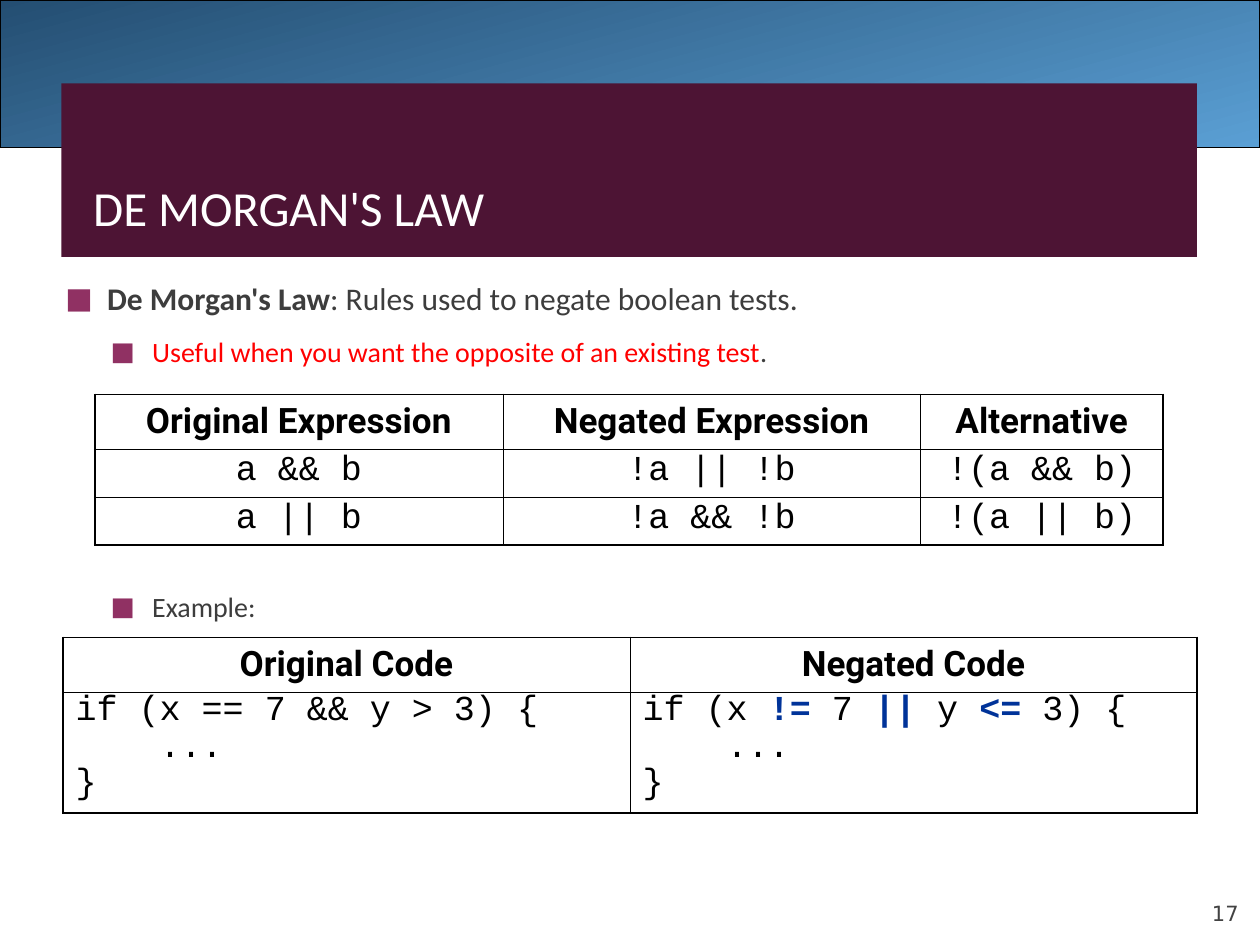
from lxml import etree
from pptx import Presentation
from pptx import util as u
from pptx.dml import color
from pptx.enum import shapes, text
from pptx.oxml import ns

COLORS = {
    "dark_blue": "244E72", "light_blue": "5A9FD4", "plum": "4D1434",
    "bullet": "903163", "body": "3D3D3D", "number": "424242",
    "alert": "FF0000", "change": "003399", "black": "000000", "white": "FFFFFF",
}
TITLE = "DE MORGAN'S LAW"
PAGE = "17"
BODY = [
    (5.51, [
        (0, [("De Morgan's Law", "body", True),
             (": Rules used to negate boolean tests.", "body", False)]),
        (1, [("Useful when you want the opposite of an existing test", "alert", False),
             (".", "body", False)]),
    ]),
    (11.77, [(1, [("Example:", "body", False)])]),
]
LEVELS = [
    {"size": 18, "left": 0.84, "before": 4.5},
    {"size": 16, "left": 1.75, "before": 4},
]
HANGING = 0.84
TABLES = [
    {"at": (1.91, 7.95), "cols": [8.23, 8.41, 4.9], "rows": [1.09, 0.97, 0.97],
     "header": ["Original Expression", "Negated Expression", "Alternative"],
     "align": text.PP_ALIGN.CENTER, "spacing": 0.8,
     "body": [
         [[["a && b"]], [["!a || !b"]], [["!(a && b)"]]],
         [[["a || b"]], [["!a && !b"]], [["!(a || b)"]]],
     ]},
    {"at": (1.27, 12.85), "cols": [11.43, 11.43], "rows": [1.09, 2.44],
     "header": ["Original Code", "Negated Code"],
     "align": text.PP_ALIGN.LEFT, "spacing": 0.7,
     "body": [[
         [["if (x == 7 && y > 3) {"], ["    ..."], ["}"]],
         [["if (x ", "!=", " 7 ", "||", " y ", "<=", " 3) {"], ["    ..."], ["}"]],
     ]]},
]
CHANGED = {"!=", "||", "<="}
OUTER, INNER = 1.08, 0.45


def rgb(name):
    return color.RGBColor.from_string(COLORS[name])


def add_run(p, words, font, size, shade, bold=False):
    r = p.add_run()
    r.text = words
    r.font.name, r.font.size, r.font.bold = font, u.Pt(size), bold
    r.font.color.rgb = rgb(shade)


def add_box(s, at, anchor, inset=None):
    tf = s.shapes.add_textbox(*map(u.Cm, at)).text_frame
    tf.word_wrap = True
    tf.vertical_anchor = anchor
    if inset is not None:
        tf.margin_left = tf.margin_right = tf.margin_top = tf.margin_bottom = inset
    return tf


def add_block(s, kind, at):
    sp = s.shapes.add_shape(kind, *map(u.Cm, at))
    sp.shadow.inherit = False
    return sp


def paragraph(tf, i):
    return tf.add_paragraph() if i else tf.paragraphs[0]


def add_bullet(p, left):
    pPr = p._p.get_or_add_pPr()
    pPr.set("marL", str(u.Cm(left)))
    pPr.set("indent", str(-u.Cm(HANGING)))
    clr = etree.SubElement(pPr, ns.qn("a:buClr"))
    etree.SubElement(clr, ns.qn("a:srgbClr"), val=COLORS["bullet"])
    etree.SubElement(pPr, ns.qn("a:buSzPct"), val="92000")
    etree.SubElement(pPr, ns.qn("a:buFont"), typeface="Calibri")
    etree.SubElement(pPr, ns.qn("a:buChar"), char="■")


def set_borders(cell, widths):
    tcPr = cell._tc.get_or_add_tcPr()
    for i, (side, width) in enumerate(widths.items()):
        ln = etree.Element(ns.qn("a:ln" + side), w=str(u.Pt(width)))
        fill = etree.SubElement(ln, ns.qn("a:solidFill"))
        etree.SubElement(fill, ns.qn("a:srgbClr"), val=COLORS["black"])
        tcPr.insert(i, ln)


def add_table(s, t):
    n_rows, n_cols = len(t["rows"]), len(t["cols"])
    size = sum(t["cols"]), sum(t["rows"])
    table = s.shapes.add_table(n_rows, n_cols, *map(u.Cm, t["at"] + size)).table
    table.first_row = table.horz_banding = False
    for col, width in zip(table.columns, t["cols"]):
        col.width = u.Cm(width)
    for row, height in zip(table.rows, t["rows"]):
        row.height = u.Cm(height)

    for i in range(n_rows):
        for j in range(n_cols):
            cell = table.cell(i, j)
            cell.fill.background()
            set_borders(cell, {
                "L": INNER if j else OUTER,
                "R": INNER if j < n_cols - 1 else OUTER,
                "T": INNER if i else OUTER,
                "B": INNER if i < n_rows - 1 else OUTER,
            })
            tf = cell.text_frame
            if i == 0:
                p = tf.paragraphs[0]
                p.alignment = text.PP_ALIGN.CENTER
                add_run(p, t["header"][j], "Roboto", 20, "black", True)
                continue
            for k, line in enumerate(t["body"][i - 1][j]):
                p = paragraph(tf, k)
                p.alignment, p.line_spacing = t["align"], t["spacing"]
                p.space_before = u.Pt(5 if k else 0)
                for words in line:
                    changed = words in CHANGED
                    add_run(p, words, "Courier New", 20,
                            "change" if changed else "black", changed)


def main():
    prs = Presentation()
    prs.slide_width, prs.slide_height = u.Cm(25.4), u.Cm(19.05)
    s = prs.slides.add_slide(prs.slide_layouts[6])

    banner = add_block(s, shapes.MSO_SHAPE.ROUNDED_RECTANGLE, (0, 0, 25.4, 2.97))
    banner.adjustments[0] = 0
    banner.fill.gradient()
    banner.fill.gradient_angle = 285
    for stop, shade, place in zip(banner.fill.gradient_stops,
                                  ("dark_blue", "light_blue"), (0, 1)):
        stop.color.rgb, stop.position = rgb(shade), place
    banner.line.color.rgb = rgb("black")
    banner.line.width = u.Pt(0.75)

    bar = add_block(s, shapes.MSO_SHAPE.RECTANGLE, (1.24, 1.68, 22.89, 3.5))
    bar.fill.solid()
    bar.fill.fore_color.rgb = rgb("plum")
    bar.line.fill.background()

    tf = add_box(s, (1.63, 1.9, 22.2, 3), text.MSO_ANCHOR.BOTTOM)
    add_run(tf.paragraphs[0], TITLE, "Calibri", 28, "white")

    for top, lines in BODY:
        tf = add_box(s, (1.07, top, 22.2, 1.1 * len(lines)), text.MSO_ANCHOR.TOP)
        for i, (level, runs) in enumerate(lines):
            style = LEVELS[level]
            p = paragraph(tf, i)
            add_bullet(p, style["left"])
            p.level = level
            p.space_before = u.Pt(style["before"] if i else 0)
            p.space_after = u.Pt(6)
            for words, shade, bold in runs:
                add_run(p, words, "Calibri", style["size"], shade, bold)

    for t in TABLES:
        add_table(s, t)

    tf = add_box(s, (22.86, 17.65, 2.11, 1.02), text.MSO_ANCHOR.BOTTOM, 0)
    p = tf.paragraphs[0]
    p.alignment = text.PP_ALIGN.RIGHT
    add_run(p, PAGE, "DejaVu Sans", 12, "number")

    prs.save("out.pptx")


if __name__ == "__main__":
    main()
